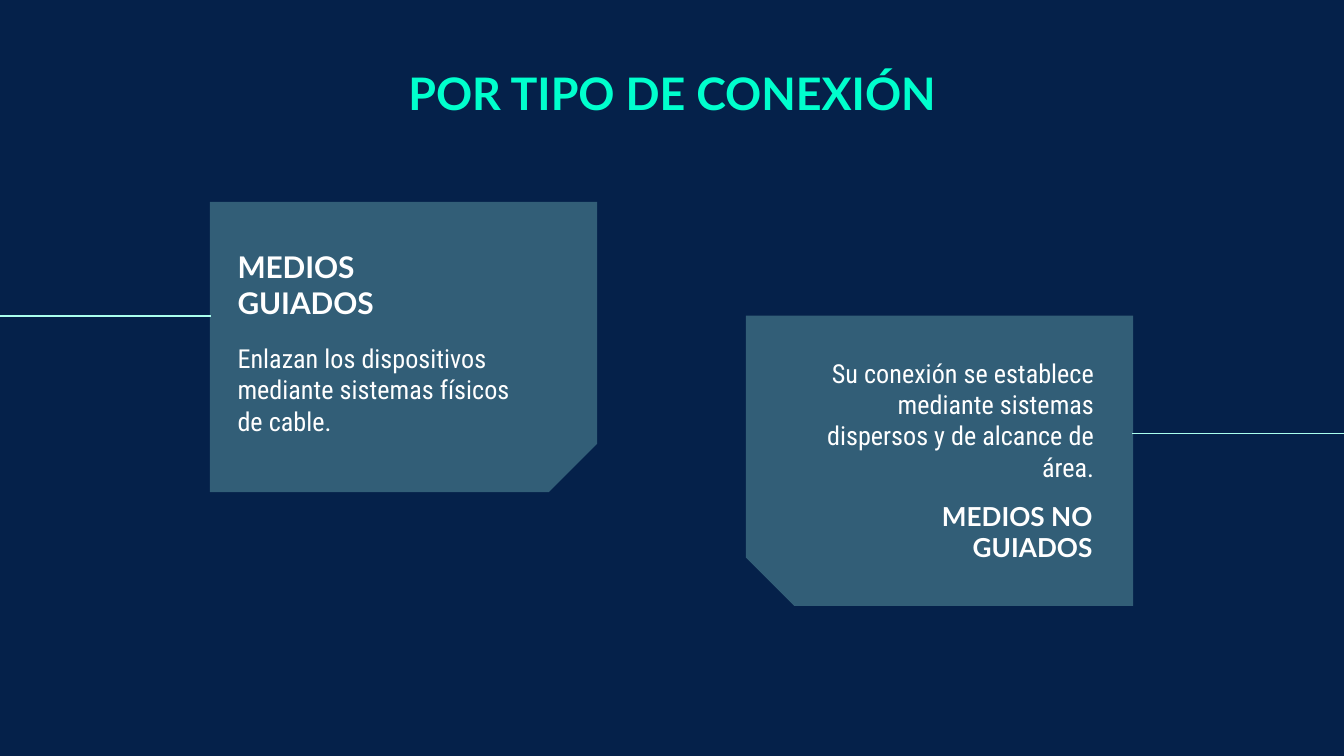
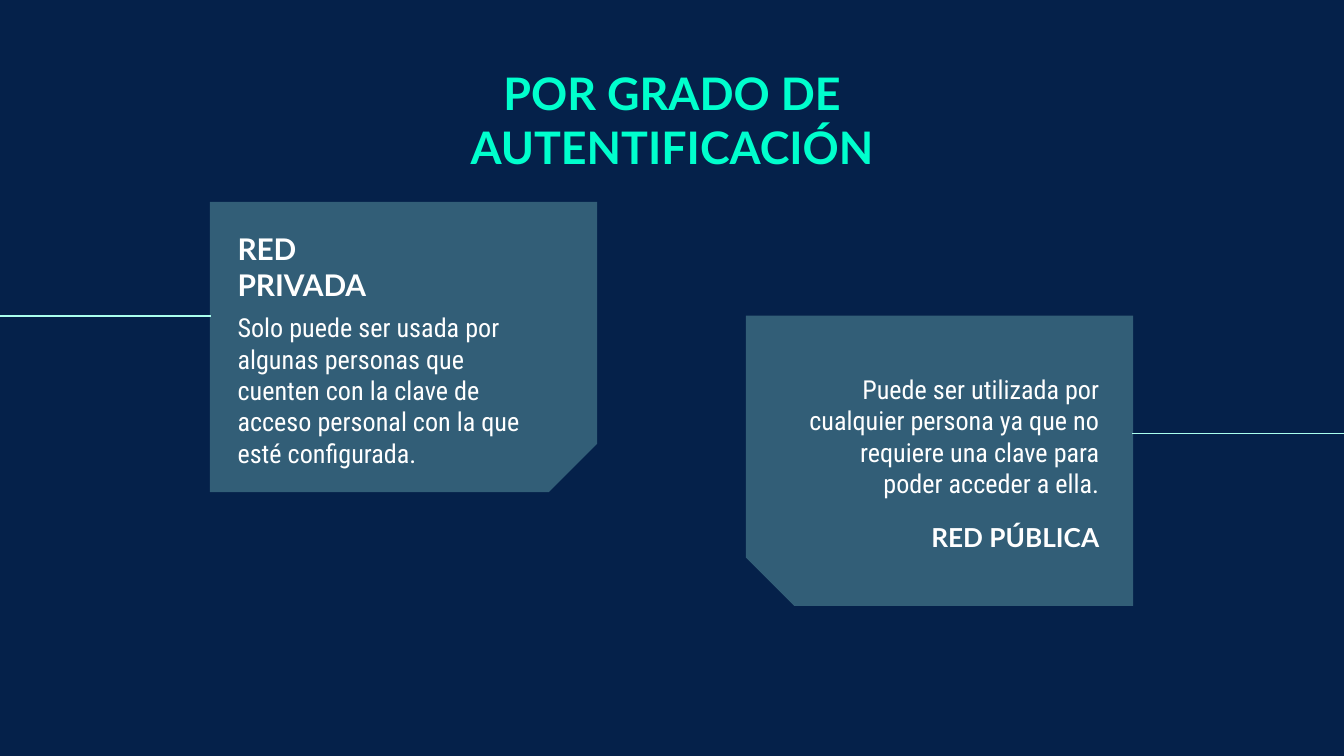
from dataclasses import dataclass

from lxml import etree
from pptx import Presentation
from pptx.dml.color import RGBColor
from pptx.enum import shapes, text
from pptx.oxml import ns
from pptx.util import Cm, Pt

NAVY = RGBColor(0x05, 0x21, 0x4A)
MINT = RGBColor(0x00, 0xFF, 0xCD)
PALE = RGBColor(0xAA, 0xFF, 0xEE)
WHITE = RGBColor(0xFF, 0xFF, 0xFF)
HEAD, BODY = "Lato", "Roboto Condensed"
LEFT, MID, RIGHT = text.PP_ALIGN.LEFT, text.PP_ALIGN.CENTER, text.PP_ALIGN.RIGHT
TOP, BASE = text.MSO_ANCHOR.TOP, text.MSO_ANCHOR.BOTTOM
WIDE, HIGH = 25.4, 14.29


@dataclass(frozen=True)
class Box:
    x: float
    y: float
    w: float
    h: float

    def cm(self) -> tuple:
        return Cm(self.x), Cm(self.y), Cm(self.w), Cm(self.h)


@dataclass(frozen=True)
class Style:
    font: str
    size: int
    color: RGBColor
    align: int
    anchor: int
    bold: bool = True


@dataclass(frozen=True)
class Card:
    box: Box
    turn: int
    flip: bool
    start: float  # line from here ...
    end: float  # ... to here
    level: float
    head: Style
    body: Style


@dataclass(frozen=True)
class Note:
    head: str
    spot: Box
    body: str
    area: Box


@dataclass(frozen=True)
class Page:
    title: str
    notes: tuple


TITLE = Style(HEAD, 24, MINT, MID, TOP)
FRAME = Box(5.46, 0.99, 14.48, 2.62)

# The two cards that every slide shows
CARDS = (
    Card(Box(4.88, 2.9, 5.49, 7.32), 90, False, 3.99, 0, 5.97,
         Style(HEAD, 16, WHITE, LEFT, BASE),
         Style(BODY, 14, WHITE, LEFT, TOP, False)),
    Card(Box(15.01, 5.05, 5.49, 7.32), 270, True, WIDE, 21.39, 8.2,
         Style(HEAD, 14, WHITE, RIGHT, BASE),
         Style(BODY, 14, WHITE, RIGHT, TOP, False)),
)

PAGES = (
    Page("POR TIPO DE CONEXIÓN", (
        Note("MEDIOS GUIADOS", Box(4.24, 4.57, 3.51, 1.73),
             "Enlazan los dispositivos mediante sistemas físicos de cable.",
             Box(4.24, 6.22, 5.99, 2.24)),
        Note("MEDIOS NO GUIADOS", Box(15.95, 9.32, 4.95, 1.57),
             "Su conexión se establece mediante sistemas dispersos y de "
             "alcance de área.",
             Box(14.94, 6.5, 5.99, 2.79)),
    )),
    Page("POR GRADO DE AUTENTIFICACIÓN", (
        Note("RED PRIVADA", Box(4.24, 4.24, 3.51, 1.73),
             "Solo puede ser usada por algunas personas que cuenten con la "
             "clave de acceso personal con la que esté configurada.",
             Box(4.24, 5.64, 5.99, 3.3)),
        Note("RED PÚBLICA", Box(16.08, 9.12, 4.95, 1.57),
             "Puede ser utilizada por cualquier persona ya que no requiere "
             "una clave para poder acceder a ella.",
             Box(15.04, 6.81, 5.99, 2.79)),
    )),
)


def write(shape, words: str, style: Style) -> None:
    frame = shape.text_frame
    frame.text = words
    frame.word_wrap = True
    frame.auto_size = text.MSO_AUTO_SIZE.NONE
    frame.vertical_anchor = style.anchor
    frame.margin_left = frame.margin_right = Cm(0.25)
    frame.margin_top = frame.margin_bottom = Cm(0.25)
    para = frame.paragraphs[0]
    para.alignment = style.align
    font = para.font
    font.name, font.size, font.bold = style.font, Pt(style.size), style.bold
    font.color.rgb = style.color


def label(slide, box: Box, words: str, style: Style) -> None:
    write(slide.shapes.add_textbox(*box.cm()), words, style)


def line(slide, card: Card) -> None:
    wire = slide.shapes.add_connector(
        shapes.MSO_CONNECTOR.STRAIGHT,
        Cm(card.start), Cm(card.level), Cm(card.end), Cm(card.level))
    wire.line.color.rgb = PALE
    wire.line.width = Pt(0.75)
    etree.SubElement(wire._element.spPr, ns.qn("a:effectLst"))


def panel(slide, card: Card) -> None:
    shape = slide.shapes.add_shape(
        shapes.MSO_SHAPE.SNIP_1_RECTANGLE, *card.box.cm())
    shape.adjustments[0] = 0.167
    shape.rotation = card.turn
    if card.flip:
        shape._element.spPr.xfrm.set("flipH", "1")
    shape.shadow.inherit = False
    shape.line.fill.background()
    shape.fill.solid()
    shape.fill.fore_color.rgb = PALE
    # Let the background show through
    tint = shape._element.spPr.find(".//" + ns.qn("a:srgbClr"))
    etree.SubElement(tint, ns.qn("a:alpha"), val="28000")


def draw(deck, page: Page) -> None:
    slide = deck.slides.add_slide(deck.slide_layouts[5])
    # Title
    title = slide.shapes.title
    title.left, title.top, title.width, title.height = FRAME.cm()
    write(title, page.title, TITLE)
    # Cards with their lines and texts
    for card, note in zip(CARDS, page.notes):
        line(slide, card)
        panel(slide, card)
        label(slide, note.spot, note.head, card.head)
        label(slide, note.area, note.body, card.body)


def main() -> None:
    deck = Presentation()
    deck.slide_width, deck.slide_height = Cm(WIDE), Cm(HIGH)
    back = deck.slide_master.background.fill
    back.solid()
    back.fore_color.rgb = NAVY
    for page in PAGES:
        draw(deck, page)
    deck.save("out.pptx")


if __name__ == "__main__":
    main()
